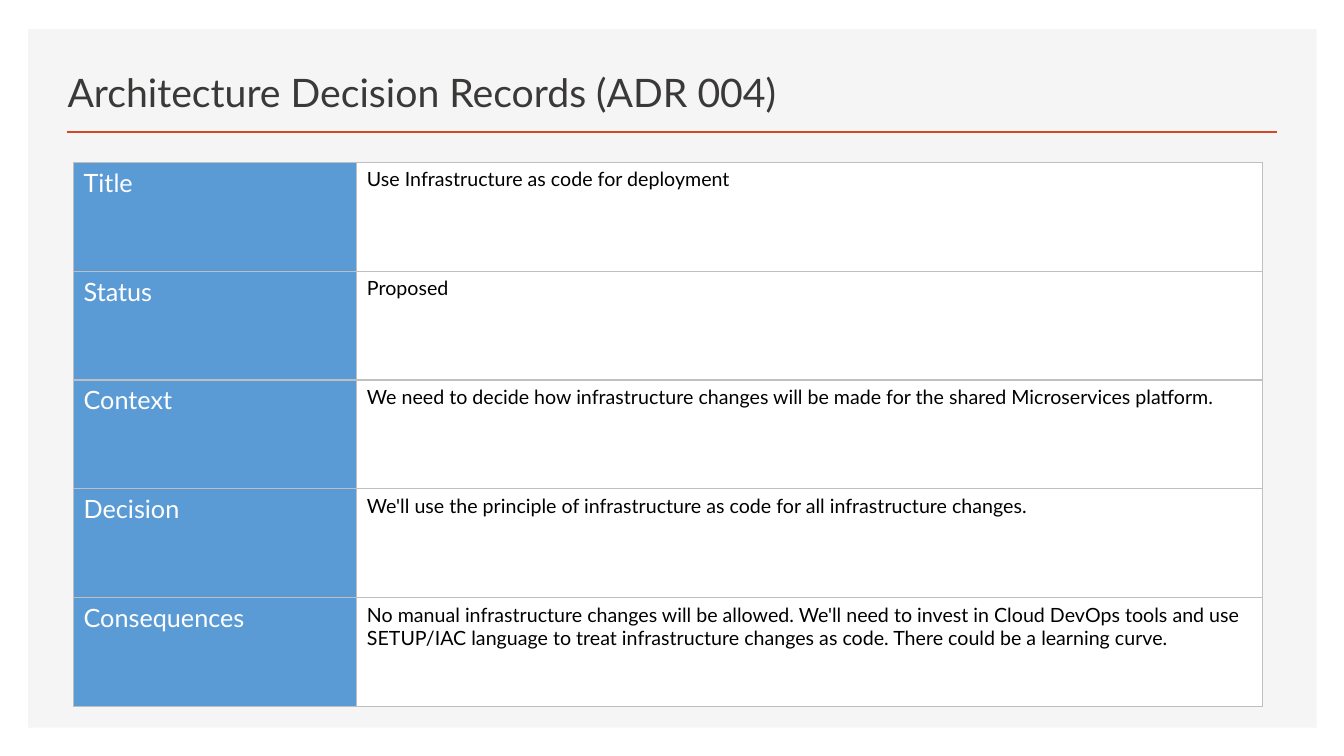
from lxml.etree import SubElement
from pptx import Presentation
from pptx.dml.color import RGBColor
from pptx.enum.shapes import MSO_CONNECTOR, MSO_SHAPE
from pptx.enum.text import MSO_ANCHOR, PP_ALIGN
from pptx.oxml.ns import qn
from pptx.util import Inches, Pt

TITLE = "Architecture Decision Records (ADR 004)"
RECORD = [
    ("Title", "Use Infrastructure as code for deployment"),
    ("Status", "Proposed"),
    ("Context", "We need to decide how infrastructure changes will be made "
                "for the shared Microservices platform."),
    ("Decision", "We'll use the principle of infrastructure as code "
                 "for all infrastructure changes."),
    ("Consequences", "No manual infrastructure changes will be allowed. "
                     "We'll need to invest in Cloud DevOps tools and use "
                     "SETUP/IAC language to treat infrastructure changes as code. "
                     "There could be a learning curve."),
]
COLORS = {"panel": "F5F5F5", "rule": "D24726", "title": "3B3838", "label": "5B9BD5",
          "white": "FFFFFF", "black": "000000", "border": "BFBFBF"}
COLUMNS = [
    {"width": 2.81, "fill": "label", "color": "white", "size": 18},
    {"width": 8.98, "fill": "white", "color": "black", "size": 14},
]
ROW_HEIGHT = 1.08
PANEL = (0.28, 0.29, 12.78, 6.93)
TITLE_BOX = (0.57, 0.49, 7.52, 0.7)
RULE = (0.66, 1.31, 12.67, 1.31)
TABLE_AT = (0.73, 1.61)


def rgb(name):
    return RGBColor.from_string(COLORS[name])


def inches(values):
    return [Inches(v) for v in values]


def write(tf, text, size, color):
    p = tf.paragraphs[0]
    p.alignment = PP_ALIGN.LEFT
    r = p.add_run()
    r.text = text
    for key, value in {"name": "Lato", "size": Pt(size), "bold": False}.items():
        setattr(r.font, key, value)
    r.font.color.rgb = rgb(color)


def add_borders(cell):
    props = cell._tc.get_or_add_tcPr()
    for i, side in enumerate(("lnL", "lnR", "lnT", "lnB")):
        ln = props.makeelement(qn(f"a:{side}"), {"w": str(Pt(1))})
        fill = SubElement(ln, qn("a:solidFill"))
        SubElement(fill, qn("a:srgbClr"), val=COLORS["border"])
        props.insert(i, ln)


def add_panel(s):
    sp = s.shapes.add_shape(MSO_SHAPE.RECTANGLE, *inches(PANEL))
    sp.shadow.inherit = False
    sp.fill.solid()
    sp.fill.fore_color.rgb = rgb("panel")
    sp.line.fill.background()
    s.shapes._spTree.insert(2, sp._element)


def add_title(s):
    sp = s.shapes.title
    for key, value in zip(("left", "top", "width", "height"), inches(TITLE_BOX)):
        setattr(sp, key, value)
    tf = sp.text_frame
    tf.word_wrap = True
    tf.vertical_anchor = MSO_ANCHOR.BOTTOM
    write(tf, TITLE, 28, "title")


def add_rule(s):
    line = s.shapes.add_connector(MSO_CONNECTOR.STRAIGHT, *inches(RULE))
    line.line.color.rgb = rgb("rule")
    line.line.width = Pt(2)
    SubElement(line._element.spPr, qn("a:effectLst"))


def add_record(s):
    size = sum(c["width"] for c in COLUMNS), ROW_HEIGHT * len(RECORD)
    table = s.shapes.add_table(len(RECORD), len(COLUMNS), *inches(TABLE_AT + size)).table
    table.first_row = table.horz_banding = False
    for i, texts in enumerate(RECORD):
        table.rows[i].height = Inches(ROW_HEIGHT)
        for j, (text, column) in enumerate(zip(texts, COLUMNS)):
            table.columns[j].width = Inches(column["width"])
            cell = table.cell(i, j)
            cell.fill.solid()
            cell.fill.fore_color.rgb = rgb(column["fill"])
            write(cell.text_frame, text, column["size"], column["color"])
            add_borders(cell)


def main():
    prs = Presentation()
    prs.slide_width, prs.slide_height = inches((13.33, 7.5))
    s = prs.slides.add_slide(prs.slide_layouts[5])
    add_panel(s)
    add_title(s)
    add_rule(s)
    add_record(s)
    prs.save("out.pptx")


if __name__ == "__main__":
    main()
